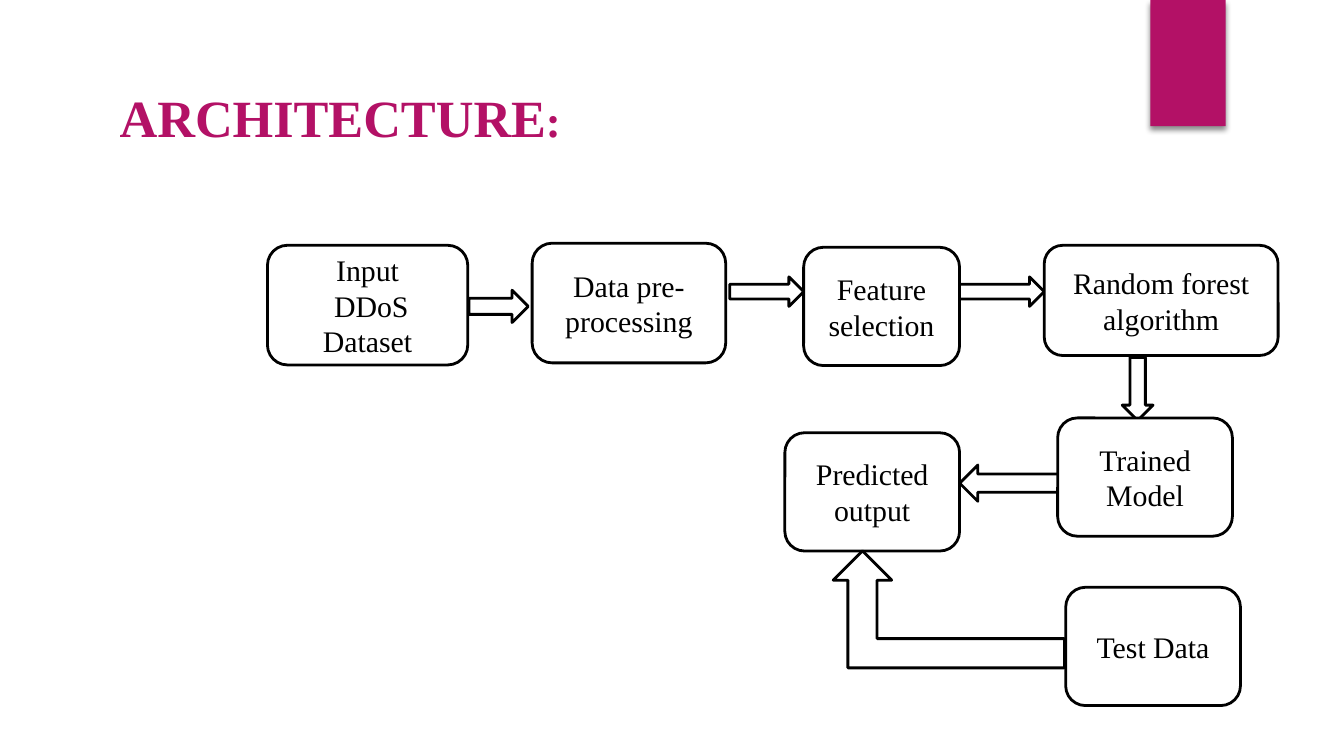
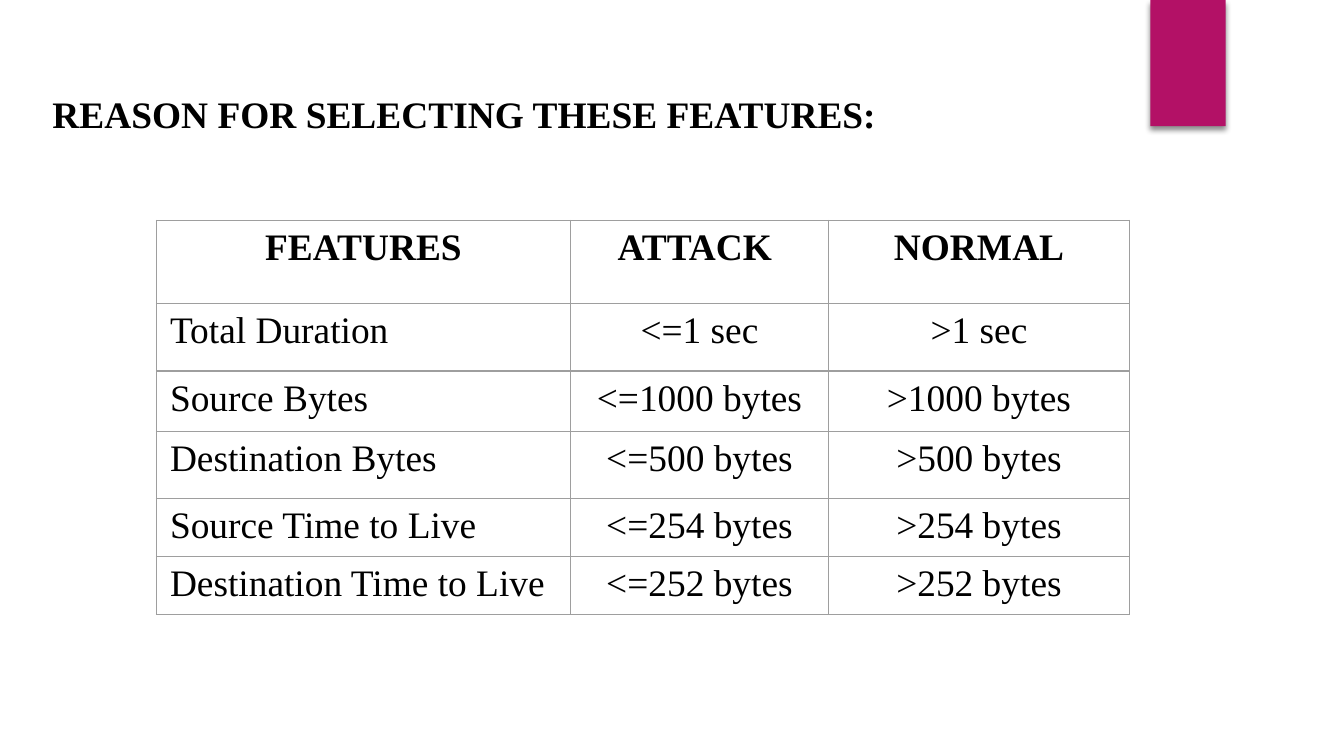
from collections import namedtuple

from lxml.etree import SubElement
from pptx import Presentation
from pptx.dml.color import RGBColor
from pptx.enum.shapes import MSO_SHAPE
from pptx.enum.text import MSO_ANCHOR, MSO_AUTO_SIZE, PP_ALIGN
from pptx.oxml.ns import qn
from pptx.util import Inches, Pt

MAGENTA = RGBColor(0xB3, 0x11, 0x66)
BLACK = RGBColor(0x00, 0x00, 0x00)
WHITE = RGBColor(0xFF, 0xFF, 0xFF)
BORDER_GRAY = RGBColor(0x9E, 0x9E, 0x9E)
FONT = "Times New Roman"
SLIDE_WIDTH = Inches(10)
SLIDE_HEIGHT = SLIDE_WIDTH * 9 // 16
GRID_COLUMNS, GRID_ROWS = 100, 56.25
COLUMN = SLIDE_WIDTH / GRID_COLUMNS
ROW = SLIDE_HEIGHT / GRID_ROWS
TITLE_ONLY = 5

Box = namedtuple("Box", "column row columns rows")

WHOLE_SLIDE = Box(0, 0, GRID_COLUMNS, GRID_ROWS)
BAND = Box(85.6, 0, 5.6, 9.4)
FLOW = Box(19.9, 18.1, 75.2, 34.4)
FEATURE_TABLE = Box(11.65, 16.4, 72.4, 29.3)

FLOW_ARROWS = [
    (MSO_SHAPE.RIGHT_ARROW, Box(15, 3.5, 4.4, 2.4), 0),
    (MSO_SHAPE.RIGHT_ARROW, Box(34.4, 2.5, 5.5, 2.2), 0),
    (MSO_SHAPE.RIGHT_ARROW, Box(51.5, 2.5, 6.3, 2.2), 0),
    (MSO_SHAPE.DOWN_ARROW, Box(63.6, 8.5, 2.3, 4.7), 0),
    (MSO_SHAPE.RIGHT_ARROW, Box(51.5, 16.5, 7.6, 2.7), 180),
]
FLOW_STEPS = [
    (["Input", " DDoS Dataset"], Box(0, 0.15, 14.9, 8.9)),
    (["Data pre-processing"], Box(19.7, 0, 14.4, 8.9)),
    (["Feature selection"], Box(39.9, 0.3, 11.6, 8.8)),
    (["Random forest algorithm"], Box(57.8, 0.15, 17.4, 8.2)),
    (["Trained Model"], Box(58.8, 13, 13, 8.8)),
    (["Predicted output"], Box(38.5, 14.1, 13, 8.8)),
    (["Test Data"], Box(59.4, 25.6, 13, 8.8)),
]
TEST_ARROW = Box(42.1, 22.9, 17.2, 8.7)

TABLE_COLUMNS = [30.8, 19.2, 22.4]
TABLE_ROWS = [6.2, 5, 4.5, 5, 4.3, 4.3]
TABLE_TEXT = [
    ("FEATURES", "ATTACK ", "NORMAL"),
    ("Total Duration", "<=1 sec", ">1 sec"),
    ("Source Bytes", "<=1000 bytes", ">1000 bytes"),
    ("Destination Bytes", "<=500 bytes", ">500 bytes"),
    ("Source Time to Live", "<=254 bytes", ">254 bytes"),
    ("Destination Time to Live", "<=252 bytes", ">252 bytes"),
]


def place(box, region=WHOLE_SLIDE):
    return (
        round((region.column + box.column) * COLUMN),
        round((region.row + box.row) * ROW),
        round(box.columns * COLUMN),
        round(box.rows * ROW),
    )


def add_run(paragraph, text, size, color=BLACK, bold=False):
    run = paragraph.add_run()
    run.text = text
    run.font.name = FONT
    run.font.size = Pt(size)
    run.font.bold = bold
    run.font.color.rgb = color


def add_outlined(slide, kind, box, region):
    shape = slide.shapes.add_shape(kind, *place(box, region))
    shape.shadow.inherit = False
    shape.fill.solid()
    shape.fill.fore_color.rgb = WHITE
    shape.line.color.rgb = BLACK
    shape.line.width = Pt(1.5)
    return shape


def add_band(slide, box):
    band = slide.shapes.add_shape(MSO_SHAPE.RECTANGLE, *place(box))
    band.fill.solid()
    band.fill.fore_color.rgb = MAGENTA
    band.line.fill.background()
    band.shadow.inherit = False
    effects = band.element.spPr.find(qn("a:effectLst"))
    shadow = SubElement(effects, qn("a:outerShdw"), blurRad=str(Pt(3)),
                        dist=str(Pt(2)), dir="5400000", rotWithShape="0")
    color = SubElement(shadow, qn("a:srgbClr"), val=str(BLACK))
    SubElement(color, qn("a:alpha"), val="45000")
    slide.slide_layout.shapes.element.append(band.element)


def add_title(slide, box, runs, alignment):
    title = slide.shapes.title
    title.left, title.top, title.width, title.height = place(box)
    frame = title.text_frame
    frame.word_wrap = True
    frame.auto_size = MSO_AUTO_SIZE.NONE
    frame.vertical_anchor = MSO_ANCHOR.TOP
    paragraph = frame.paragraphs[0]
    paragraph.alignment = alignment
    for text, size, color in runs:
        add_run(paragraph, text, size, color, bold=True)


def add_step(slide, lines, box, region):
    shape = add_outlined(slide, MSO_SHAPE.ROUNDED_RECTANGLE, box, region)
    frame = shape.text_frame
    frame.word_wrap = True
    frame.vertical_anchor = MSO_ANCHOR.MIDDLE
    for index, line in enumerate(lines):
        paragraph = frame.add_paragraph() if index else frame.paragraphs[0]
        paragraph.alignment = PP_ALIGN.CENTER
        add_run(paragraph, line, 16)


def add_flow(slide, region):
    for kind, box, rotation in FLOW_ARROWS:
        add_outlined(slide, kind, box, region).rotation = rotation
    for lines, box in FLOW_STEPS:
        add_step(slide, lines, box, region)
    bent = add_outlined(slide, MSO_SHAPE.BENT_UP_ARROW, TEST_ARROW, region)
    bent.element.spPr.find(qn("a:xfrm")).set("flipH", "1")


def add_borders(cell):
    properties = cell._tc.get_or_add_tcPr()
    for position, side in enumerate(("lnL", "lnR", "lnT", "lnB")):
        line = SubElement(properties, qn("a:" + side), w=str(Pt(0.75)))
        fill = SubElement(line, qn("a:solidFill"))
        SubElement(fill, qn("a:srgbClr"), val=str(BORDER_GRAY))
        properties.insert(position, line)


def add_feature_table(slide, region):
    table = slide.shapes.add_table(
        len(TABLE_ROWS), len(TABLE_COLUMNS), *place(region)).table
    table.first_row = False
    table.horz_banding = False
    for column, columns in zip(table.columns, TABLE_COLUMNS):
        column.width = round(columns * COLUMN)
    for row_index, texts in enumerate(TABLE_TEXT):
        table.rows[row_index].height = round(TABLE_ROWS[row_index] * ROW)
        for column_index, text in enumerate(texts):
            cell = table.cell(row_index, column_index)
            cell.fill.background()
            add_borders(cell)
            is_header = row_index == 0
            is_label = column_index == 0 and not is_header
            paragraph = cell.text_frame.paragraphs[0]
            paragraph.alignment = PP_ALIGN.LEFT if is_label else PP_ALIGN.CENTER
            add_run(paragraph, text, 20, bold=is_header)


def build_architecture(slide):
    runs = [("ARCHITECTURE", 28, MAGENTA), (":", 24, MAGENTA)]
    add_title(slide, Box(7.9, 5.85, 35.3, 5.7), runs, PP_ALIGN.LEFT)
    add_flow(slide, FLOW)


def build_features(slide):
    runs = [("REASON FOR SELECTING THESE FEATURES:", 20, BLACK)]
    add_title(slide, Box(2.9, 6.3, 75.3, 4.4), runs, PP_ALIGN.JUSTIFY)
    add_feature_table(slide, FEATURE_TABLE)


def main():
    presentation = Presentation()
    presentation.slide_width = SLIDE_WIDTH
    presentation.slide_height = SLIDE_HEIGHT
    layout = presentation.slide_layouts[TITLE_ONLY]
    architecture = presentation.slides.add_slide(layout)
    add_band(architecture, BAND)
    build_architecture(architecture)
    build_features(presentation.slides.add_slide(layout))
    presentation.save("out.pptx")


if __name__ == "__main__":
    main()
